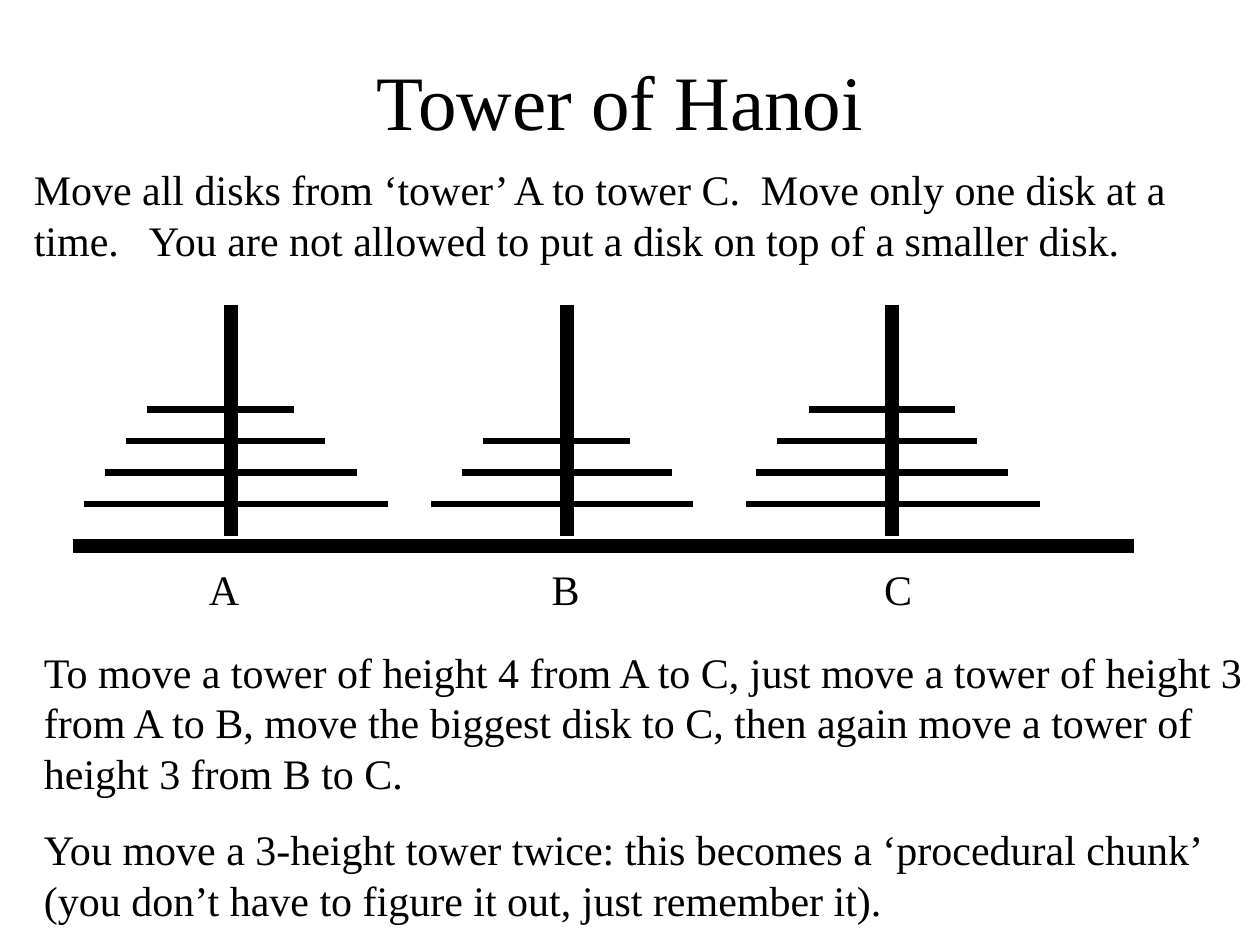
from lxml import etree
from pptx import Presentation
from pptx.dml.color import RGBColor
from pptx.enum.shapes import MSO_CONNECTOR
from pptx.enum.text import MSO_ANCHOR, MSO_AUTO_SIZE, PP_ALIGN
from pptx.oxml.ns import qn
from pptx.util import Inches, Pt

# Content
TITLE = "Tower of Hanoi"
RULES = [
    "Move all disks from ‘tower’ A to tower C.  Move only one disk at a time.   "
    "You are not allowed to put a disk on top of a smaller disk."
]
STRATEGY = [
    "To move a tower of height 4 from A to C, just move a tower of height 3 from A to B, "
    "move the biggest disk to C, then again move a tower of height 3 from B to C.",
    "You move a 3-height tower twice: this becomes a ‘procedural chunk’ "
    "(you don’t have to figure it out, just remember it).",
]
# Each tower: pole position, label centre, and disk ends from the bottom up
TOWERS = [
    {"name": "A", "pole": 1.83, "label": 1.78,
     "disks": [(0.67, 3.08), (0.83, 2.83), (1.00, 2.58), (1.17, 2.33)]},
    {"name": "B", "pole": 4.50, "label": 4.49,
     "disks": [(3.42, 5.50), (3.67, 5.33), (3.83, 5.00)]},
    {"name": "C", "pole": 7.08, "label": 7.13,
     "disks": [(5.92, 8.25), (6.00, 8.00), (6.17, 7.75), (6.42, 7.58)]},
]
COLORS = {"ink": "000000", "background": "FFFFFF"}
FONT = "Times New Roman"

# Layout
POLE_TOP, POLE_BOTTOM = 2.42, 4.25
BASE_LEFT, BASE_RIGHT, BASE_Y = 0.58, 9, 4.33
BOTTOM_DISK_Y, DISK_STEP = 4, 0.25
LABEL_LEFT, LABEL_MARGIN = 1, 0.1


def write_text(frame, paragraphs, size=24, align=PP_ALIGN.LEFT, gap=15, tabs=()):
    frame.word_wrap = True
    for index, text in enumerate(paragraphs):
        paragraph = frame.paragraphs[0] if index == 0 else frame.add_paragraph()
        paragraph.alignment = align
        if index:
            paragraph.space_before = Pt(gap)
        if tabs:
            properties = paragraph._p.get_or_add_pPr()
            tab_list = etree.SubElement(properties, qn("a:tabLst"))
            for position in tabs:
                etree.SubElement(tab_list, qn("a:tab"),
                                 pos=str(Inches(position)), algn="ctr")
        run = paragraph.add_run()
        run.text = text
        run.font.name = FONT
        run.font.size = Pt(size)
        run.font.color.rgb = RGBColor.from_string(COLORS["ink"])


def add_text_box(slide, left, top, width, height, paragraphs, **text_format):
    box = slide.shapes.add_textbox(Inches(left), Inches(top), Inches(width), Inches(height))
    write_text(box.text_frame, paragraphs, **text_format)
    box.text_frame.auto_size = MSO_AUTO_SIZE.SHAPE_TO_FIT_TEXT


def add_line(slide, x1, y1, x2, y2, weight):
    line = slide.shapes.add_connector(
        MSO_CONNECTOR.STRAIGHT, Inches(x1), Inches(y1), Inches(x2), Inches(y2))
    line.line.color.rgb = RGBColor.from_string(COLORS["ink"])
    line.line.width = Pt(weight)
    etree.SubElement(line._element.spPr, qn("a:effectLst"))


def main():
    presentation = Presentation()
    presentation.slide_width, presentation.slide_height = Inches(10), Inches(7.5)
    slide = presentation.slides.add_slide(presentation.slide_layouts[5])
    slide.background.fill.solid()
    slide.background.fill.fore_color.rgb = RGBColor.from_string(COLORS["background"])

    # Title and rules
    title = slide.shapes.title
    title.left, title.top = Inches(0.67), Inches(0.17)
    title.width, title.height = Inches(8.5), Inches(1.25)
    title.text_frame.vertical_anchor = MSO_ANCHOR.MIDDLE
    write_text(title.text_frame, [TITLE], size=44, align=PP_ALIGN.CENTER)
    add_text_box(slide, 0.17, 1.25, 9.42, 0.9, RULES)

    # Base, poles and disks
    add_line(slide, BASE_LEFT, BASE_Y, BASE_RIGHT, BASE_Y, weight=8)
    for tower in TOWERS:
        add_line(slide, tower["pole"], POLE_TOP, tower["pole"], POLE_BOTTOM, weight=8)
        for level, (left, right) in enumerate(tower["disks"]):
            y = BOTTOM_DISK_Y - level * DISK_STEP
            add_line(slide, left, y, right, y, weight=4)

    # Tower names, centred on tab stops
    names = "".join("\t" + tower["name"] for tower in TOWERS)
    stops = [tower["label"] - LABEL_LEFT - LABEL_MARGIN for tower in TOWERS]
    add_text_box(slide, LABEL_LEFT, 4.42, 6.92, 0.5, [names], tabs=stops)

    # Strategy
    add_text_box(slide, 0.25, 5.08, 9.75, 2.31, STRATEGY)

    presentation.save("out.pptx")


if __name__ == "__main__":
    main()
